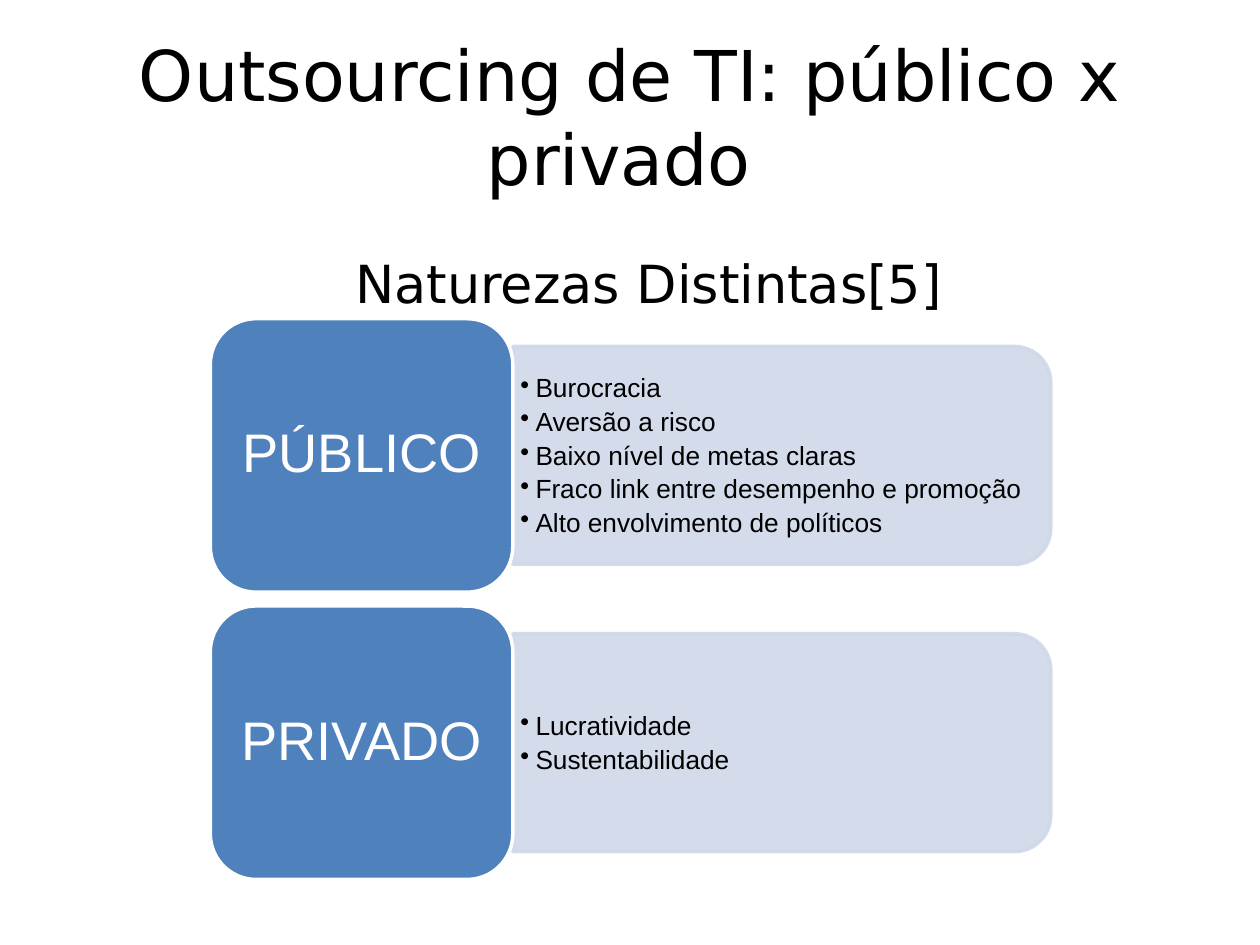
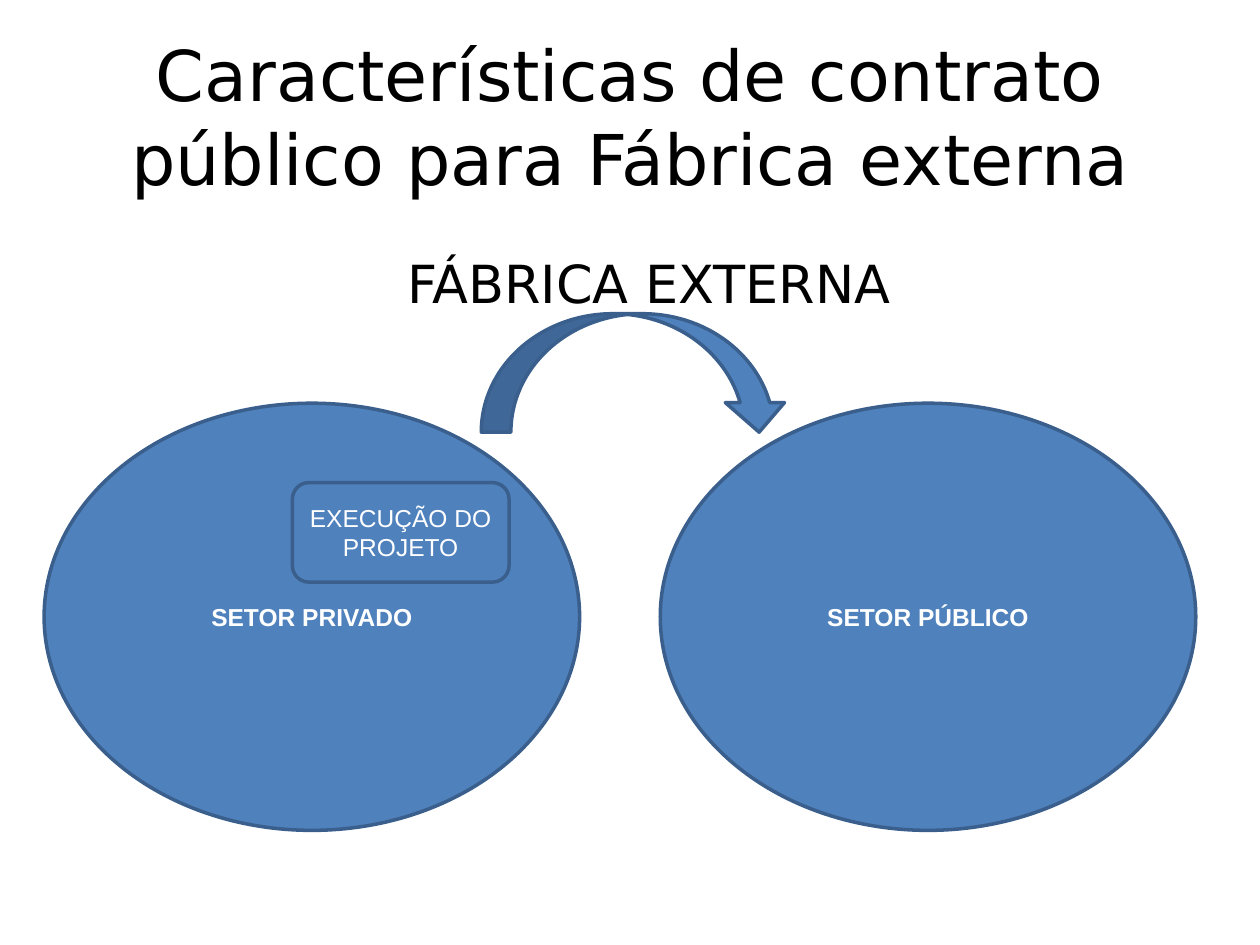
from lxml.etree import SubElement
from pptx import Presentation
from pptx.dml.color import RGBColor
from pptx.enum.shapes import MSO_SHAPE as Preset
from pptx.enum.text import MSO_ANCHOR as Anchor, PP_ALIGN as Align
from pptx.oxml.ns import qn
from pptx.util import Pt

PX = 9144  # EMU per px, 100 px to the inch
COLORS = {
    "text": "000000",
    "light": "FFFFFF",
    "blue": "4F81BD",
    "outline": "3A5F8C",
    "bar": "D0D8E8",
}
HEADING_FONT = "DejaVu Sans"
BODY_FONT = "Arial"

SECTORS = [
    ("PÚBLICO", [
        "Burocracia",
        "Aversão a risco",
        "Baixo nível de metas claras",
        "Fraco link entre desempenho e promoção",
        "Alto envolvimento de políticos",
    ]),
    ("PRIVADO", ["Lucratividade", "Sustentabilidade"]),
]
SECTOR_TOP, SECTOR_PITCH = 253, 228
LABEL_LEFT, LABEL_WIDTH, LABEL_HEIGHT = 167, 240, 217
BAR_LENGTH, BAR_HEIGHT = 427, 173


def color(name):
    return RGBColor.from_string(COLORS[name])


def set_margins(frame, horizontal, vertical):
    frame.margin_left = frame.margin_right = horizontal * PX
    frame.margin_top = frame.margin_bottom = vertical * PX


def set_indent(paragraph, left, first=0):
    properties = paragraph._p.get_or_add_pPr()
    properties.set("marL", str(left * PX))
    properties.set("indent", str(first * PX))
    return properties


def style_paragraph(paragraph, text, size, color_name, font=BODY_FONT,
                    align=Align.CENTER, bold=False):
    paragraph.text = text
    paragraph.alignment = align
    paragraph.font.name = font
    paragraph.font.size = Pt(size)
    paragraph.font.bold = bold
    paragraph.font.color.rgb = color(color_name)


def add_text_box(slide, box, horizontal, vertical):
    frame = slide.shapes.add_textbox(*(value * PX for value in box)).text_frame
    frame.word_wrap = True
    set_margins(frame, horizontal, vertical)
    return frame


def add_preset(slide, preset, box, fill="blue", line="outline"):
    shape = slide.shapes.add_shape(preset, *(value * PX for value in box))
    shape.shadow.inherit = False
    shape.fill.solid()
    shape.fill.fore_color.rgb = color(fill)
    shape.line.color.rgb = color(line)
    shape.line.width = Pt(2)
    return shape


def add_labelled_shape(slide, preset, box, text, size=14, bold=False, line="outline"):
    shape = add_preset(slide, preset, box, line=line)
    style_paragraph(shape.text_frame.paragraphs[0], text, size, "light", bold=bold)
    return shape


def set_opacity(shape, percent):
    """Apply one opacity to both fill and line."""
    for node in shape._element.spPr.iter(qn("a:srgbClr")):
        SubElement(node, qn("a:alpha"), val=str(percent * 1000))


def add_slide(presentation, title, subtitle):
    slide = presentation.slides.add_slide(presentation.slide_layouts[6])
    subtitle_paragraph = add_text_box(slide, (50, 194, 900, 459), 10, 5).paragraphs[0]
    style_paragraph(subtitle_paragraph, subtitle, 30, "text", HEADING_FONT)
    set_indent(subtitle_paragraph, 30)
    title_paragraph = add_text_box(slide, (50, 15, 900, 125), 10, 10).paragraphs[0]
    style_paragraph(title_paragraph, title, 40, "text", HEADING_FONT)
    return slide


def add_bullets(slide, box, items):
    frame = add_text_box(slide, box, 6, 3)
    frame.vertical_anchor = Anchor.MIDDLE
    for index, item in enumerate(items):
        paragraph = frame.add_paragraph() if index else frame.paragraphs[0]
        style_paragraph(paragraph, item, 15, "text", align=Align.LEFT)
        paragraph.line_spacing = 0.9
        paragraph.space_after = Pt(3)
        properties = set_indent(paragraph, 12, -12)
        bullet = SubElement(properties, qn("a:buChar"), char="•")
        properties.find(qn("a:defRPr")).addprevious(bullet)


def add_sector(slide, top, label, traits):
    """Draw a label block with a bar of traits to its right."""
    bar_left = LABEL_LEFT + LABEL_WIDTH
    middle = top + LABEL_HEIGHT // 2
    # The bar is an upright shape turned by 90 degrees about its centre.
    bar = add_preset(slide, Preset.ROUND_2_SAME_RECTANGLE,
                     (bar_left + (BAR_LENGTH - BAR_HEIGHT) // 2,
                      middle - BAR_LENGTH // 2, BAR_HEIGHT, BAR_LENGTH),
                     "bar", "bar")
    bar.rotation = 90
    set_opacity(bar, 90)
    add_bullets(slide, (bar_left, top + 31, 418, 157), traits)
    block = add_labelled_shape(slide, Preset.ROUNDED_RECTANGLE,
                               (LABEL_LEFT, top, LABEL_WIDTH, LABEL_HEIGHT),
                               label, 31, line="light")
    set_margins(block.text_frame, 13, 6)
    block.text_frame.paragraphs[0].line_spacing = 0.9


def build_comparison(presentation):
    slide = add_slide(presentation, "Outsourcing de TI: público x privado ",
                      "Naturezas Distintas[5]")
    for index, (label, traits) in enumerate(SECTORS):
        add_sector(slide, SECTOR_TOP + index * SECTOR_PITCH, label, traits)


def build_external_factory(presentation):
    slide = add_slide(presentation,
                      "Características de contrato público para Fábrica externa",
                      "FÁBRICA EXTERNA")
    for left, sector in ((524, "SETOR PÚBLICO"), (35, "SETOR PRIVADO")):
        add_labelled_shape(slide, Preset.OVAL, (left, 320, 425, 339), sector, bold=True)
    add_preset(slide, Preset.CURVED_DOWN_ARROW, (382, 249, 244, 94))
    add_labelled_shape(slide, Preset.ROUNDED_RECTANGLE, (232, 383, 172, 79),
                       "EXECUÇÃO DO PROJETO")


def main():
    presentation = Presentation()
    presentation.slide_width = 1000 * PX
    presentation.slide_height = 750 * PX
    build_comparison(presentation)
    build_external_factory(presentation)
    presentation.save("out.pptx")


if __name__ == "__main__":
    main()
